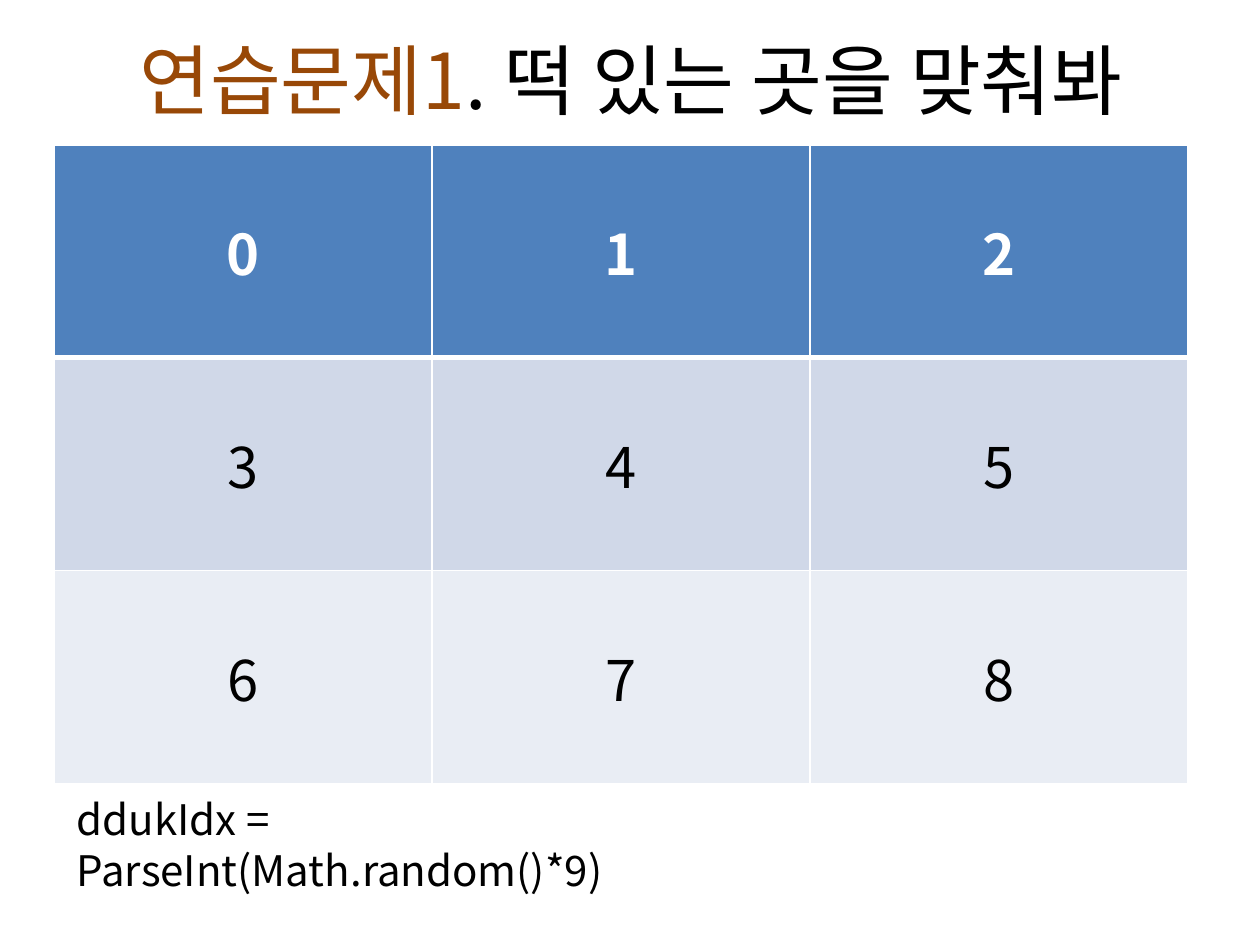
from lxml.etree import SubElement
from pptx import Presentation
from pptx.dml.color import RGBColor
from pptx.enum.text import MSO_ANCHOR, PP_ALIGN
from pptx.oxml.ns import qn
from pptx.util import Inches, Pt

FONT = "Noto Sans CJK KR"
ROW_FILLS = ["4F81BD", "D0D8E8", "E9EDF4"]
COLUMNS = 3


def color(hex_string):
    return RGBColor.from_string(hex_string)


def set_font(font, size, hex_string, bold=False):
    font.name = FONT
    font.size = Pt(size)
    font.bold = bold
    font.color.rgb = color(hex_string)
    # East Asian typeface for the Korean text
    SubElement(font._element, qn("a:ea"), typeface=FONT)


def set_border(cell, side, width):
    line = SubElement(cell._tc.get_or_add_tcPr(), qn(f"a:ln{side}"), w=str(Pt(width)))
    fill = SubElement(line, qn("a:solidFill"))
    SubElement(fill, qn("a:srgbClr"), val="FFFFFF")


def add_title(page, left, top, width, height):
    title = page.shapes.title
    title.left, title.top, title.width, title.height = map(Inches, (left, top, width, height))
    frame = title.text_frame
    frame.vertical_anchor = MSO_ANCHOR.MIDDLE
    para = frame.paragraphs[0]
    para.alignment = PP_ALIGN.CENTER
    for text, hex_string in [("연습문제1", "984807"), (". 떡 있는 곳을 맞춰봐", "000000")]:
        span = para.add_run()
        span.text = text
        set_font(span.font, 44, hex_string)


def add_number_grid(page, left, top, width, height):
    box = map(Inches, (left, top, width, height))
    table = page.shapes.add_table(len(ROW_FILLS), COLUMNS, *box).table
    for row, fill in enumerate(ROW_FILLS):
        header = row == 0
        for column in range(COLUMNS):
            cell = table.cell(row, column)
            # Borders: thick rule between the header and the body
            for side in "LRTB":
                thick = (row, side) in [(0, "B"), (1, "T")]
                set_border(cell, side, 3 if thick else 1)
            cell.fill.solid()
            cell.fill.fore_color.rgb = color(fill)
            # Index centred in its cell
            cell.vertical_anchor = MSO_ANCHOR.MIDDLE
            cell.text = str(row * COLUMNS + column)
            para = cell.text_frame.paragraphs[0]
            para.alignment = PP_ALIGN.CENTER
            set_font(para.font, 32, "FFFFFF" if header else "000000", header)


def add_code_line(page, left, top, width, height):
    box = page.shapes.add_textbox(*map(Inches, (left, top, width, height)))
    box.text_frame.word_wrap = True
    para = box.text_frame.paragraphs[0]
    para.text = "ddukIdx = ParseInt(Math.random()*9)"
    set_font(para.font, 24, "000000")


deck = Presentation()
deck.slide_width, deck.slide_height = Inches(10), Inches(7.5)
page = deck.slides.add_slide(deck.slide_layouts[5])
add_title(page, 0.51, 0, 9, 1.25)
add_number_grid(page, 0.43, 1.15, 9, 5.07)
add_code_line(page, 0.51, 6.25, 5.91, 0.5)
deck.save("out.pptx")
